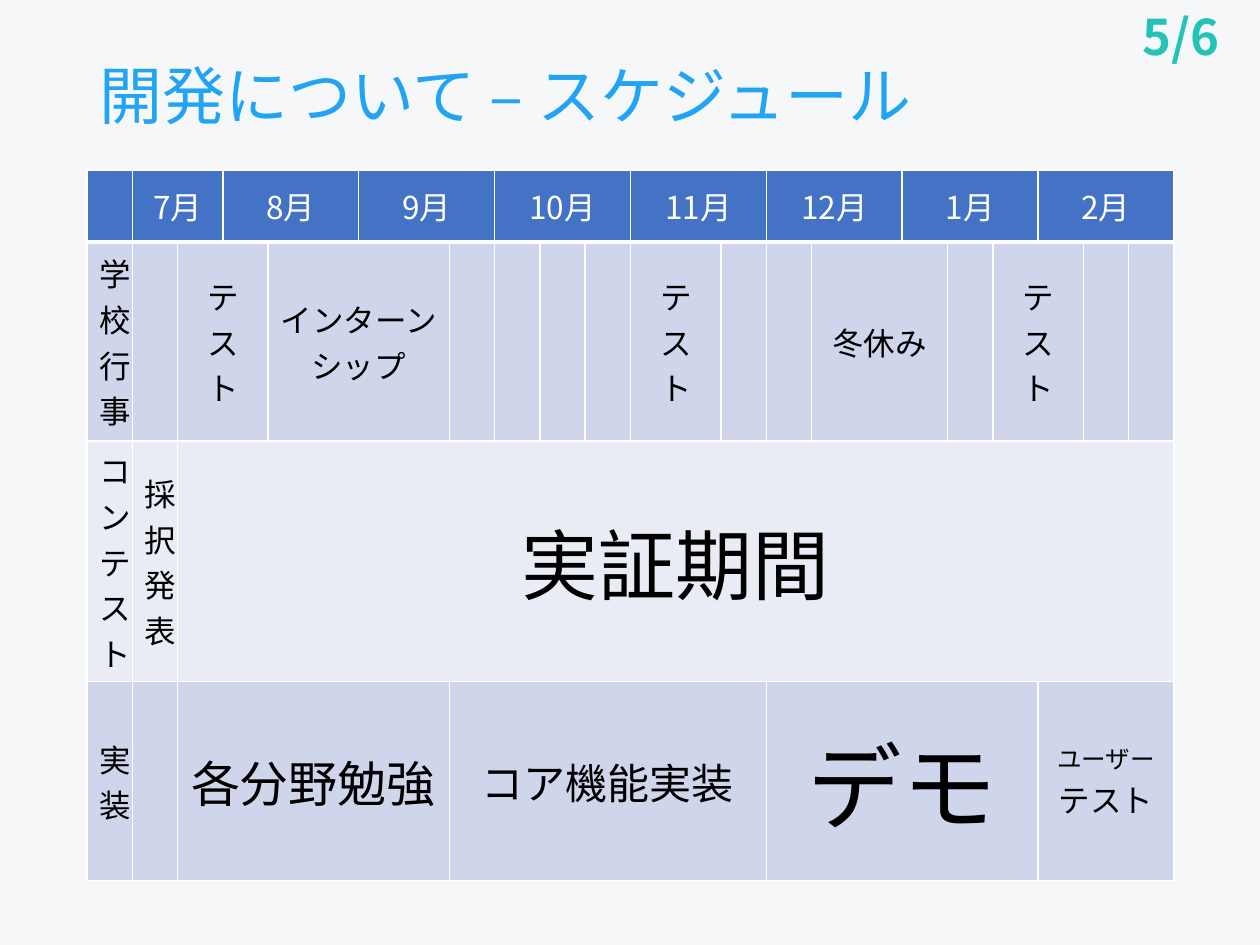
"""Build the development schedule slide with its month table."""
from pptx import Presentation
from pptx.dml.color import RGBColor
from pptx.enum.text import MSO_ANCHOR, MSO_AUTO_SIZE, PP_ALIGN
from pptx.oxml.ns import qn
from pptx.util import Inches, Pt
from lxml import etree

MIDDLE, CENTER, LEFT = MSO_ANCHOR.MIDDLE, PP_ALIGN.CENTER, PP_ALIGN.LEFT
NONE, GROW = MSO_AUTO_SIZE.NONE, MSO_AUTO_SIZE.SHAPE_TO_FIT_TEXT
FONT = "Noto Sans CJK JP"
TITLE, PAGE = "開発について – スケジュール", "5/6"
UNIT = 0.3596
WIDE = {4, 5, 10, 13}
COUNT = 20
TEST = "テ\nス\nト"
BODY = {"color": "000000", "edge": 1}
ROWS = [
    {"height": 0.57, "fill": "4472C4", "color": "FFFFFF", "edge": 3, "cells": [
        (1, 2, "7月"), (3, 2, "8月"), (5, 2, "9月"), (7, 3, "10月"),
        (10, 2, "11月"), (12, 2, "12月"), (14, 3, "1月"), (17, 3, "2月")]},
    {"height": 1.58, "fill": "CFD5EA", **BODY, "cells": [
        (0, 1, "学校行事"), (2, 2, TEST), (4, 2, "インターンシップ"),
        (10, 1, TEST), (13, 2, "冬休み"), (16, 2, TEST)]},
    {"height": 1.8, "fill": "E9EBF5", **BODY, "cells": [
        (0, 1, "コンテスト"), (1, 1, "採択発表"), (2, 18, ("実証期間", 44))]},
    {"height": 1.58, "fill": "CFD5EA", **BODY, "cells": [
        (0, 1, "実装"), (2, 4, ("各分野勉強", 28)), (6, 6, ("コア機能実装", 24)),
        (12, 5, ("デモ", 54)), (17, 3, ("ユーザー", 14), ("テスト", 18))]},
]


def rgb(code):
    return RGBColor.from_string(code)


def add_run(para, text, size, color, **format):
    run = para.add_run()
    run.text = text
    for name, value in {"name": FONT, "size": Pt(size), **format}.items():
        setattr(run.font, name, value)
    run.font.color.rgb = rgb(color)
    east = etree.SubElement(run.font._element, qn("a:ea"))
    east.set("typeface", FONT)


def set_edges(cell, last):
    props = cell._tc.get_or_add_tcPr()
    for place, side in enumerate("LRTB"):
        line = etree.Element(qn(f"a:ln{side}"), w=str(Pt(last if side == "B" else 1)))
        fill = etree.SubElement(line, qn("a:solidFill"))
        etree.SubElement(fill, qn("a:srgbClr"), val="FFFFFF")
        props.insert(place, line)


def fill_text(cell, parts, color):
    cell.vertical_anchor = MIDDLE
    para = cell.text_frame.paragraphs[0]
    para.alignment = CENTER
    lines = []
    for part in parts:
        text, size = (part, 18) if isinstance(part, str) else part
        lines += [(line, size) for line in text.split("\n")]
    for place, (line, size) in enumerate(lines):
        if place:
            para.add_line_break()
        add_run(para, line, size, color)


def add_plan(slide):
    frame = slide.shapes.add_table(len(ROWS), COUNT, Inches(0.69), Inches(1.35),
                                   Inches(8.63), Inches(5.53))
    table = frame.table
    for place, col in enumerate(table.columns):
        col.width = Inches(UNIT * (2 if place in WIDE else 1))
    for place, row in enumerate(ROWS):
        table.rows[place].height = Inches(row["height"])
        for cell in table.rows[place].cells:
            cell.fill.solid()
            cell.fill.fore_color.rgb = rgb(row["fill"])
            set_edges(cell, row["edge"])
        for start, span, *parts in row["cells"]:
            cell = table.cell(place, start)
            if span > 1:
                cell.merge(table.cell(place, start + span - 1))
            fill_text(cell, parts, row["color"])


def put_text(shape, box, text, style, frame, para):
    for name, value in zip(("left", "top", "width", "height"), box):
        setattr(shape, name, Inches(value))
    body = shape.text_frame
    first = body.paragraphs[0]
    for item, values in ((body, frame), (first, para)):
        for name, value in values.items():
            setattr(item, name, value)
    add_run(first, text, **style)


deck = Presentation()
deck.slide_width, deck.slide_height = Inches(10), Inches(7.5)
slide = deck.slides.add_slide(deck.slide_layouts[5])
slide.background.fill.solid()
slide.background.fill.fore_color.rgb = rgb("F6F7F8")
put_text(slide.shapes.title, (0.69, 0.4, 8.62, 0.78), TITLE,
         {"size": 36, "color": "20A4F3"},
         {"vertical_anchor": MIDDLE, "auto_size": NONE, "word_wrap": True},
         {"alignment": LEFT, "line_spacing": 0.9})
add_plan(slide)
box = (8.97, 0, 1.03, 0.57)
put_text(slide.shapes.add_textbox(*map(Inches, box)), box, PAGE,
         {"size": 28, "color": "23C4B6", "bold": True},
         {"auto_size": GROW, "word_wrap": False}, {"alignment": LEFT})
deck.save("out.pptx")
